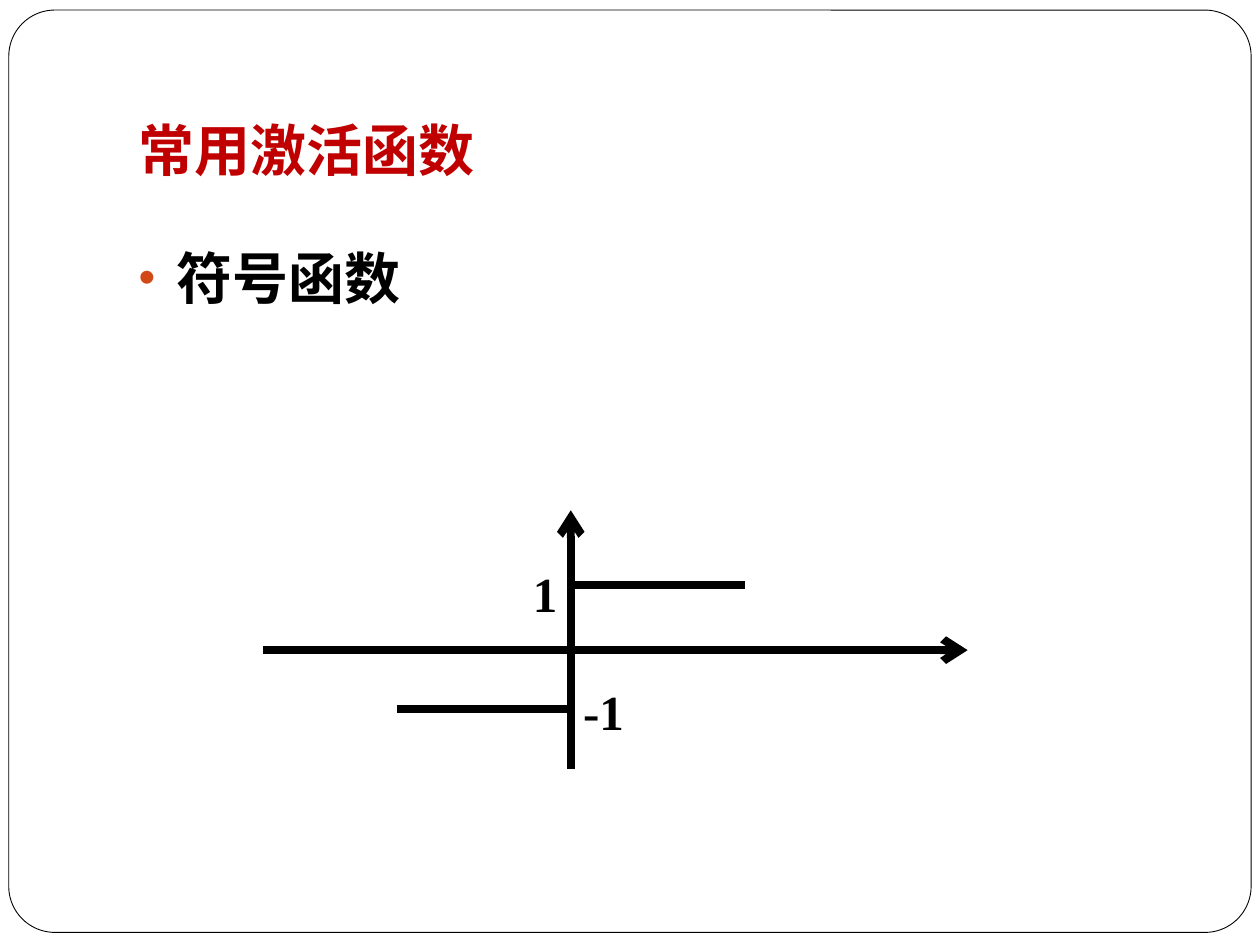
from lxml import etree
from pptx import Presentation
from pptx.dml.color import RGBColor
from pptx.enum.shapes import MSO_CONNECTOR, MSO_SHAPE
from pptx.enum.text import MSO_ANCHOR, MSO_AUTO_SIZE, PP_ALIGN
from pptx.oxml.ns import qn
from pptx.util import Inches, Pt

FONT = "Times New Roman"
BLACK, WHITE, RED, ORANGE = "000000", "FFFFFF", "C00000", "D34817"


def color(hex_value):
    return RGBColor.from_string(hex_value)


def place(shape, box):
    shape.left, shape.top, shape.width, shape.height = map(Inches, box)


def write(shape, text, size, text_color):
    """Set one bold paragraph and return it."""
    frame = shape.text_frame
    frame.word_wrap = True
    frame.text = text
    paragraph = frame.paragraphs[0]
    paragraph.alignment = PP_ALIGN.LEFT
    font = paragraph.runs[0].font
    font.name, font.size, font.bold = FONT, Pt(size), True
    font.color.rgb = color(text_color)
    return paragraph


def add_frame(slide, box):
    """Rounded page border, behind everything else."""
    frame = slide.shapes.add_shape(MSO_SHAPE.ROUNDED_RECTANGLE, *map(Inches, box))
    frame.adjustments[0] = 0.05
    frame.shadow.inherit = False
    frame.fill.solid()
    frame.fill.fore_color.rgb = color(WHITE)
    frame.line.color.rgb = color(BLACK)
    frame.line.width = Pt(0.5)
    slide.shapes._spTree.insert(2, frame._element)


def fill_title(slide, box):
    title = slide.shapes.title
    place(title, box)
    write(title, "常用激活函数", 32, RED)
    title.text_frame.auto_size = MSO_AUTO_SIZE.NONE
    title.text_frame.vertical_anchor = MSO_ANCHOR.BOTTOM
    title.text_frame.margin_bottom = Inches(0.1)


def fill_body(slide, box):
    body = slide.placeholders[1]
    place(body, box)
    paragraph = write(body, "符号函数", 32, BLACK)
    body.text_frame.auto_size = MSO_AUTO_SIZE.NONE
    paragraph.space_before = Pt(0)
    properties = paragraph._p.get_or_add_pPr()
    properties.set("marL", str(Inches(0.3)))
    properties.set("indent", str(Inches(-0.3)))
    bullet_color = etree.SubElement(properties, qn("a:buClr"))
    etree.SubElement(bullet_color, qn("a:srgbClr"), val=ORANGE)
    etree.SubElement(properties, qn("a:buSzPct"), val="85000")
    etree.SubElement(properties, qn("a:buChar"), char="•")


def add_stroke(slide, kind, start, end, arrow=False):
    stroke = slide.shapes.add_connector(kind, *map(Inches, (*start, *end)))
    stroke.line.color.rgb = color(BLACK)
    stroke.line.width = Pt(4.5)
    if arrow:
        etree.SubElement(stroke.line._get_or_add_ln(), qn("a:tailEnd"), type="arrow")
    etree.SubElement(stroke._element.spPr, qn("a:effectLst"))


def add_sign_plot(slide, box):
    """Axes, step curve and the two value labels."""
    left, top, width, height = box
    right, bottom = left + width, top + height
    axis_x, axis_y = left + 2.44, top + 1.11
    add_stroke(slide, MSO_CONNECTOR.STRAIGHT, (left, axis_y), (right, axis_y), arrow=True)
    add_stroke(slide, MSO_CONNECTOR.STRAIGHT, (axis_x, bottom), (axis_x, top), arrow=True)
    add_stroke(slide, MSO_CONNECTOR.ELBOW,
               (axis_x - 1.38, axis_y + 0.47), (axis_x + 1.38, axis_y - 0.52))
    for value, x, y in (("1", axis_x - 0.4, axis_y - 0.74), ("-1", axis_x, axis_y + 0.2)):
        label = slide.shapes.add_textbox(*map(Inches, (x, y, 0.55, 0.57)))
        write(label, value, 28, BLACK)


def main():
    presentation = Presentation()
    presentation.slide_width, presentation.slide_height = Inches(10), Inches(7.5)
    slide = presentation.slides.add_slide(presentation.slide_layouts[1])
    add_frame(slide, (0.07, 0.08, 9.86, 7.32))
    fill_title(slide, (1, 0.3, 8.5, 1.25))
    fill_body(slide, (1, 1.88, 8.5, 4.7))
    add_sign_plot(slide, (2.09, 4.05, 5.59, 2.05))
    presentation.save("out.pptx")


if __name__ == "__main__":
    main()
